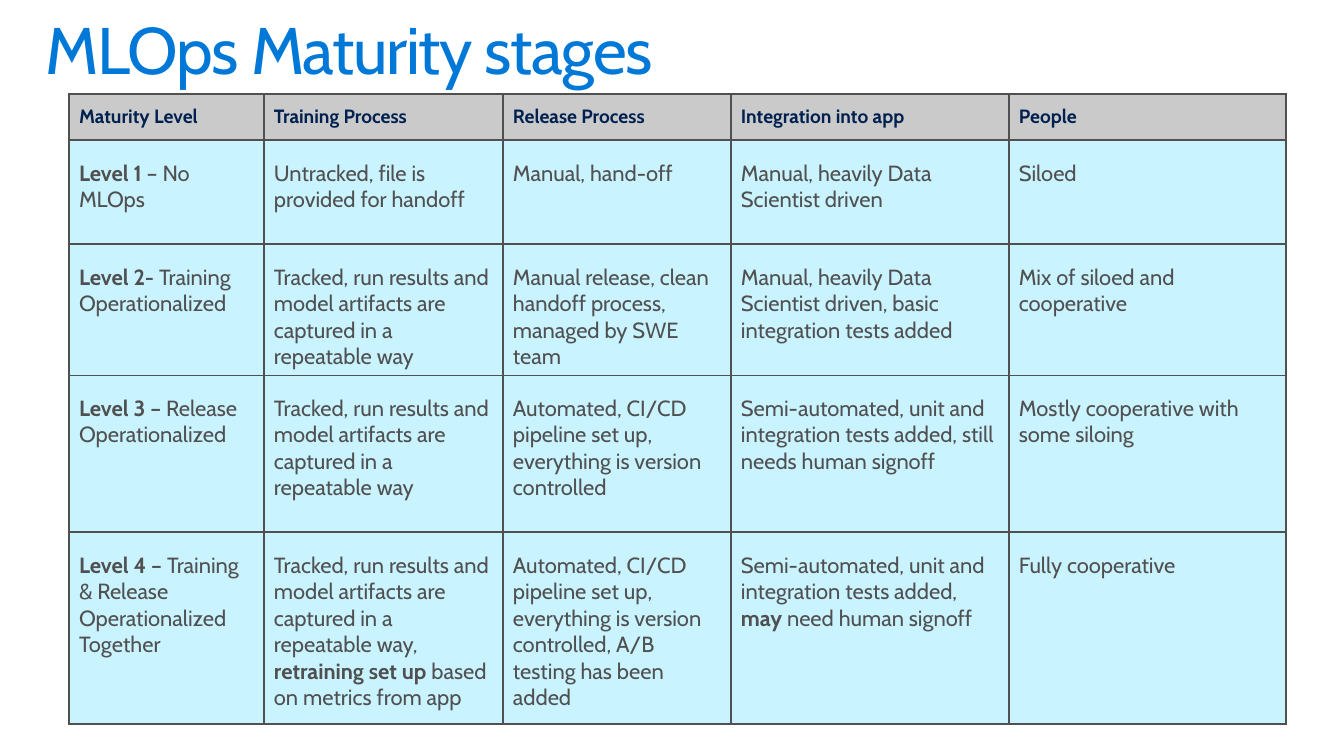
from lxml import etree
from pptx import Presentation
from pptx.dml.color import RGBColor
from pptx.enum.text import MSO_ANCHOR
from pptx.oxml.ns import qn
from pptx.util import Pt

TITLE = "MLOps Maturity stages"
HEADINGS = ["Maturity Level", "Training Process", "Release Process",
            "Integration into app", "People"]
LEVELS = [
    ["**Level 1 **– No MLOps",
     "Untracked, file is provided for handoff",
     "Manual, hand-off",
     "Manual, heavily Data Scientist driven",
     "Siloed"],
    ["**Level 2- **Training Operationalized",
     "Tracked, run results and model artifacts are captured in a repeatable way",
     "Manual release, clean handoff process, managed by SWE team",
     "Manual, heavily Data Scientist driven, basic integration tests added",
     "Mix of siloed and\ncooperative"],
    ["**Level 3 – **Release Operationalized",
     "Tracked, run results and model artifacts are captured in a repeatable way",
     "Automated, CI/CD pipeline set up, everything is version controlled",
     "Semi-automated, unit and integration tests added, still needs human signoff",
     "Mostly cooperative with\nsome siloing"],
    ["**Level 4 – **Training & Release Operationalized Together",
     "Tracked, run results and model artifacts are captured in a repeatable way, "
     "**retraining set up **based on metrics from app",
     "Automated, CI/CD pipeline set up, everything is version controlled, "
     "A/B testing has been added",
     "Semi-automated, unit and integration tests added, **may** need human signoff",
     "Fully cooperative"],
]

PX = 9255
PAGE_SIZE = (1344, 756)
TITLE_BOX = (30, 8, 1284, 99)
TABLE_LEFT, TABLE_TOP = 69, 94
COLUMN_WIDTHS = [195, 239, 228, 278, 277]
ROW_HEIGHTS = [46, 104, 131, 157, 192]

FONT = "Cabin"
BLUE = RGBColor(0x00, 0x78, 0xD7)
NAVY = RGBColor(0x00, 0x20, 0x50)
GRAY = RGBColor(0x50, 0x50, 0x50)
HEADER_GRAY = RGBColor(0x52, 0x52, 0x52)
PALE_CYAN = RGBColor(0xC9, 0xF3, 0xFF)
HEADER_OPACITY = 30
TOP, MIDDLE = MSO_ANCHOR.TOP, MSO_ANCHOR.MIDDLE


def write(frame, text, size, color, bold=False, line_spacing=None, tracking=None):
    for number, line in enumerate(text.split("\n")):
        para = frame.add_paragraph() if number else frame.paragraphs[0]
        para.line_spacing = line_spacing
        for index, piece in enumerate(line.split("**")):
            if not piece:
                continue
            span = para.add_run()
            span.text = piece
            font = span.font
            font.name, font.size, font.bold = FONT, Pt(size), bold or index % 2 == 1
            font.color.rgb = color
            if tracking is not None:
                span._r.get_or_add_rPr().set("spc", str(tracking * 100))


def set_margins(target, side, top, bottom):
    target.margin_left = target.margin_right = side * PX
    target.margin_top, target.margin_bottom = top * PX, bottom * PX


def fill_cell(cell, color, opacity=100):
    cell.fill.solid()
    cell.fill.fore_color.rgb = color
    if opacity < 100:
        shade = cell._tc.tcPr.find(qn("a:solidFill"))[0]
        etree.SubElement(shade, qn("a:alpha")).set("val", str(opacity * 1000))


def add_borders(cell, color, width):
    for position, side in enumerate(("lnL", "lnR", "lnT", "lnB")):
        border = etree.Element(qn("a:" + side), w=str(Pt(width)))
        paint = etree.SubElement(border, qn("a:solidFill"))
        etree.SubElement(paint, qn("a:srgbClr"), val=str(color))
        cell._tc.tcPr.insert(position, border)


def add_maturity_table(page):
    rows = [HEADINGS] + LEVELS
    frame = page.shapes.add_table(
        len(rows), len(HEADINGS), TABLE_LEFT * PX, TABLE_TOP * PX,
        sum(COLUMN_WIDTHS) * PX, sum(ROW_HEIGHTS) * PX)
    table = frame.table
    table.horz_banding = False
    for column, width in zip(table.columns, COLUMN_WIDTHS):
        column.width = width * PX
    for row, height in zip(table.rows, ROW_HEIGHTS):
        row.height = height * PX
    for row_index, texts in enumerate(rows):
        header = row_index == 0
        for column_index, text in enumerate(texts):
            cell = table.cell(row_index, column_index)
            cell.vertical_anchor = MIDDLE if header else TOP
            set_margins(cell, 10, 5 if header else 20, 5)
            if header:
                fill_cell(cell, HEADER_GRAY, HEADER_OPACITY)
                write(cell.text_frame, text, 14, NAVY, bold=True)
            else:
                fill_cell(cell, PALE_CYAN)
                write(cell.text_frame, text, 16, GRAY)
            add_borders(cell, GRAY, 1)


def add_title(page):
    box = page.shapes.add_textbox(*(length * PX for length in TITLE_BOX))
    box.text_frame.word_wrap = True
    set_margins(box.text_frame, 16, 10, 10)
    write(box.text_frame, TITLE, 48, BLUE, line_spacing=0.9, tracking=-1)


def main():
    deck = Presentation()
    deck.slide_width, deck.slide_height = (length * PX for length in PAGE_SIZE)
    page = deck.slides.add_slide(deck.slide_layouts[6])
    add_maturity_table(page)
    add_title(page)
    deck.save("out.pptx")


if __name__ == "__main__":
    main()
